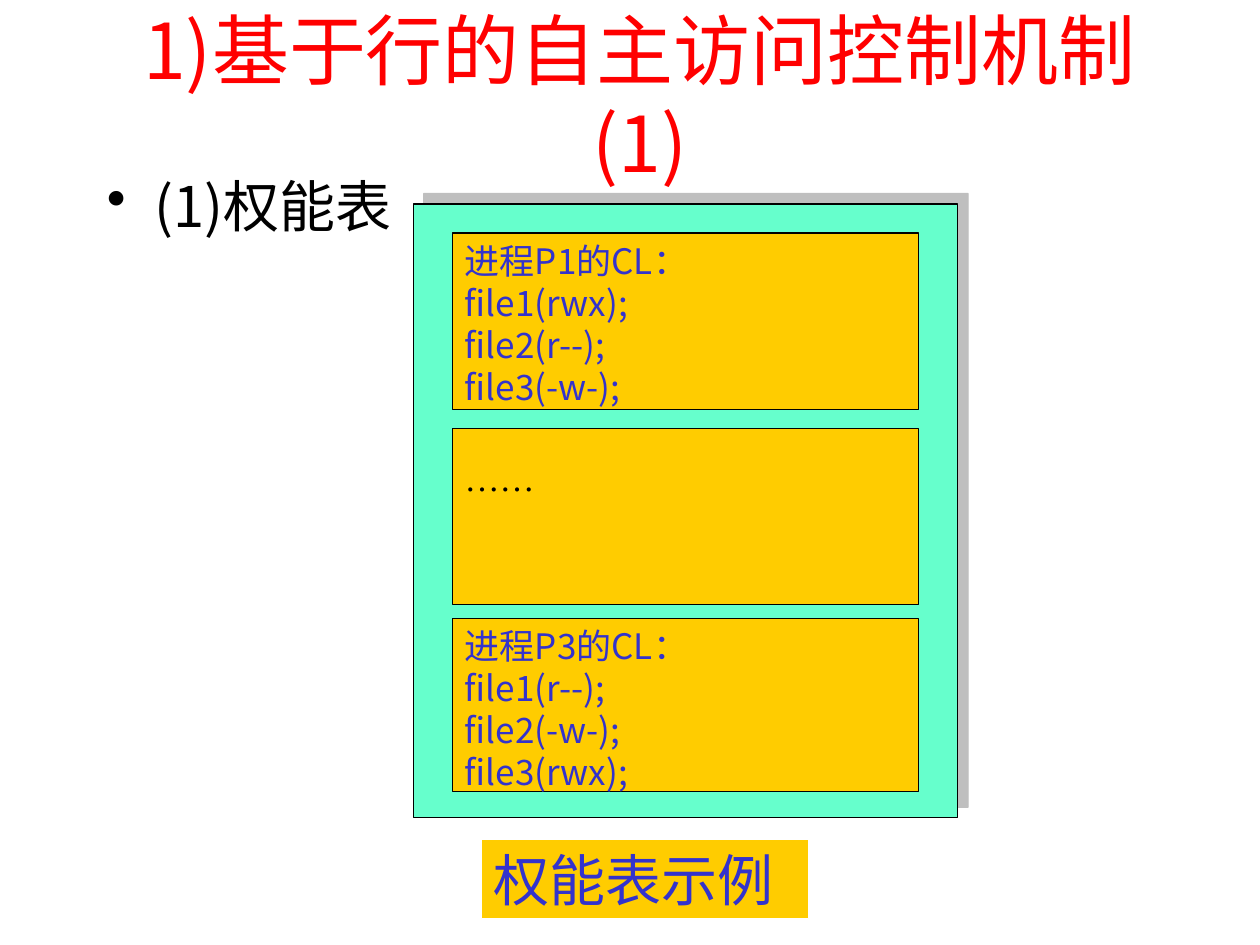
from lxml.etree import SubElement
from pptx import Presentation
from pptx.dml.color import RGBColor
from pptx.enum.shapes import MSO_SHAPE
from pptx.enum.text import MSO_ANCHOR, PP_ALIGN
from pptx.oxml.ns import qn
from pptx.util import Inches, Pt

RED = RGBColor(0xFF, 0x00, 0x00)
BLACK = RGBColor(0x00, 0x00, 0x00)
WHITE = RGBColor(0xFF, 0xFF, 0xFF)
BLUE = RGBColor(0x33, 0x33, 0xCC)
GOLD = RGBColor(0xFF, 0xCC, 0x00)
MINT = RGBColor(0x66, 0xFF, 0xCC)
SANS = "Noto Sans CJK JP"
SERIF = "Times New Roman"


def write(tf, text, size=20, color=BLUE, font=SANS, align=PP_ALIGN.JUSTIFY,
          anchor=MSO_ANCHOR.TOP, bullet=None, top=0.05):
    """Fill a text frame with one paragraph per line of text."""
    tf.word_wrap = True
    tf.vertical_anchor = anchor
    tf.margin_top = Inches(top)
    for i, line in enumerate(text.split("\n")):
        p = tf.paragraphs[0] if i == 0 else tf.add_paragraph()
        p.alignment = align
        if bullet:
            pPr = p._p.get_or_add_pPr()
            pPr.set("marL", str(Inches(0.38)))
            pPr.set("indent", str(-Inches(0.38)))
            SubElement(pPr, qn("a:buChar")).set("char", bullet)
        r = p.add_run()
        r.text = line
        r.font.size = Pt(size)
        r.font.color.rgb = color
        r.font.name = font
        if font == SANS:
            SubElement(r._r.get_or_add_rPr(), qn("a:ea")).set("typeface", font)


class SlideBuilder:
    """Holds the current slide and the group that forms its diagram."""

    def __init__(self, prs):
        self.slide = prs.slides.add_slide(prs.slide_layouts[6])
        self.group = None

    def text(self, box, text, **fmt):
        """Add a text box."""
        s = self.slide.shapes.add_textbox(*map(Inches, box))
        write(s.text_frame, text, **fmt)

    def start_group(self):
        """Open the group that receives the rectangles."""
        self.group = self.slide.shapes.add_group_shape()

    def rect(self, box, text="", fill=GOLD, line=BLACK, **fmt):
        """Add a filled rectangle to the group."""
        s = self.group.shapes.add_shape(MSO_SHAPE.RECTANGLE, *map(Inches, box))
        s.shadow.inherit = False
        s.fill.solid()
        s.fill.fore_color.rgb = fill
        s.line.color.rgb = line
        s.line.width = Pt(0.75)
        if text:
            write(s.text_frame, text, **fmt)
        return s

    def shadow(self, s):
        """Cast a half-transparent grey shadow to the upper right."""
        effects = s._element.spPr.find(qn("a:effectLst"))
        shadow = SubElement(effects, qn("a:outerShdw"), dist=str(Pt(8.5)),
                            dir=str(315 * 60000), algn="ctr", rotWithShape="0")
        color = SubElement(shadow, qn("a:srgbClr"), val="808080")
        SubElement(color, qn("a:alpha"), val="50000")


def main():
    """Build the capability list slide."""
    prs = Presentation()
    prs.slide_width, prs.slide_height = Inches(10), Inches(7.5)
    b = SlideBuilder(prs)
    b.text((0.75, 0.13, 8.66, 1.25), "1)基于行的自主访问控制机制(1)", size=44,
           color=RED, align=PP_ALIGN.CENTER, anchor=MSO_ANCHOR.MIDDLE)
    b.text((0.75, 1.31, 8.5, 5.83), "(1)权能表", size=32, color=BLACK,
           align=PP_ALIGN.LEFT, bullet="•")
    b.start_group()
    b.shadow(b.rect((3.28, 1.62, 4.32, 4.87), fill=MINT))
    for process, y, h, rights in (("P1", 1.85, 1.4, ("rwx", "r--", "-w-")),
                                  ("P3", 4.91, 1.37, ("r--", "-w-", "rwx"))):
        files = [f"file{i}({right});" for i, right in enumerate(rights, 1)]
        b.rect((3.59, y, 3.7, h), "\n".join([f"进程{process}的CL：", *files]))
    b.rect((3.82, 6.66, 2.6, 0.63), "权能表示例", line=WHITE, size=32, font=SERIF)
    b.rect((3.59, 3.4, 3.7, 1.4), "……", color=BLACK, font=SERIF, top=0.22)
    prs.save("out.pptx")


if __name__ == "__main__":
    main()
